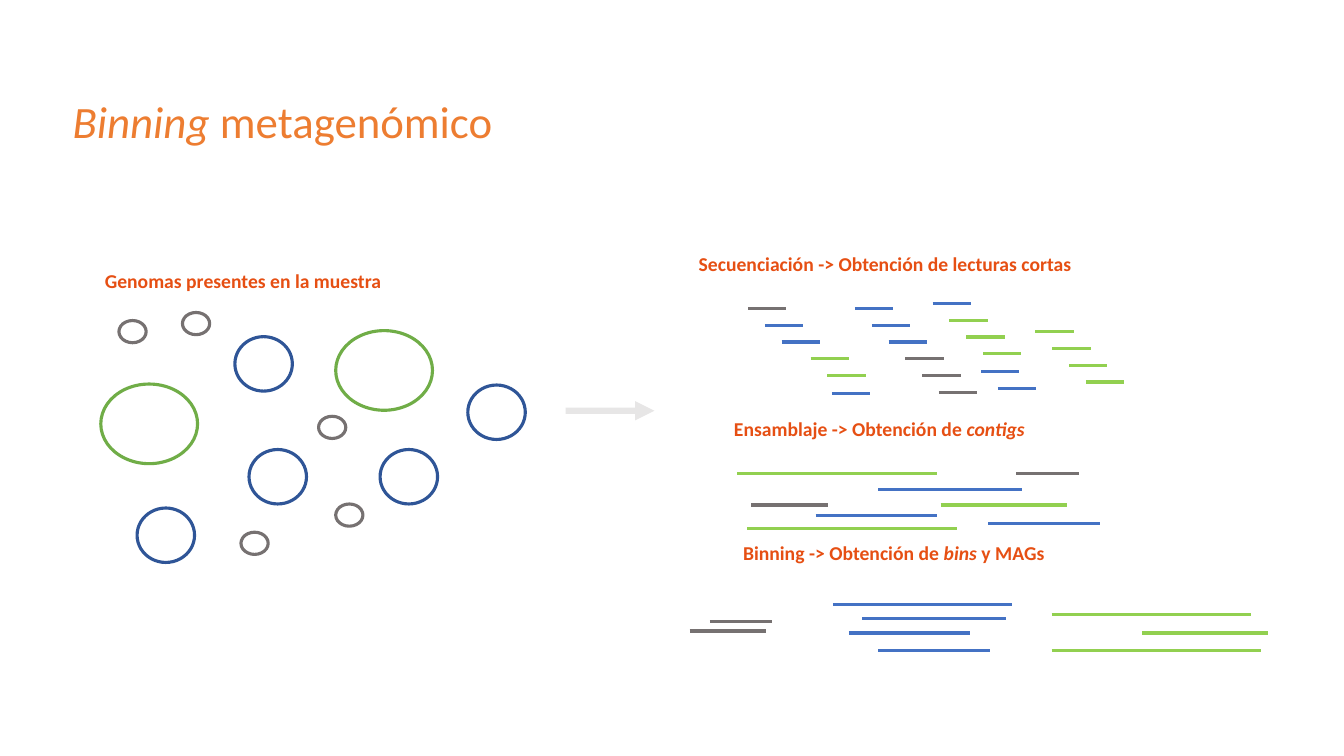
from dataclasses import dataclass

from lxml import etree
from pptx import Presentation
from pptx.dml.color import RGBColor
from pptx.enum import shapes, text
from pptx.oxml import ns
from pptx.util import Inches, Pt


@dataclass(frozen=True)
class Theme:
    font: str = "Calibri"
    title_size: int = 32
    heading_size: int = 14
    line_width: float = 2.25
    title: str = "ED7D31"
    heading: str = "E64F13"
    green_ring: str = "70AD47"
    blue_ring: str = "2F5597"
    green: str = "92D050"
    blue: str = "4472C4"
    grey: str = "767171"
    arrow: str = "E7E6E6"


THEME = Theme()

# Colour, width, height, and the left and top of each genome
GENOMES = [
    (THEME.green_ring, 0.96, 0.79, [(1, 3.81), (3.33, 3.28)]),
    (THEME.blue_ring, 0.57, 0.54,
     [(1.36, 5.04), (3.77, 4.46), (2.33, 3.34), (2.47, 4.46), (4.64, 3.82)]),
    (THEME.grey, 0.27, 0.22,
     [(1.18, 3.18), (1.81, 3.1), (2.39, 5.28), (3.33, 5), (3.16, 4.13)]),
]

# Start of each diagonal staircase of reads and the colours down it
READ_LENGTH = 0.38
READ_STEP = 1 / 6
READ_STAIRS = [
    (7.42, 3.06, [THEME.grey] + [THEME.blue] * 2),
    (8.04, 3.56, [THEME.green] * 2),
    (8.25, 3.9, [THEME.blue]),
    (8.48, 3.06, [THEME.blue] * 3 + [THEME.grey] * 3),
    (9.25, 3.01, [THEME.blue] + [THEME.green] * 3),
    (9.73, 3.69, [THEME.blue] * 2),
    (10.27, 3.29, [THEME.green] * 4),
]

# Colour, length, then the starts after assembly and after binning
CONTIGS = [
    (THEME.green, 1.98, [(7.31, 4.7), (10.43, 6.1)]),
    (THEME.green, 1.25, [(9.33, 5.01), (11.33, 6.28)]),
    (THEME.green, 2.08, [(7.41, 5.24), (10.43, 6.45)]),
    (THEME.grey, 0.62, [(10.08, 4.7), (7.04, 6.17)]),
    (THEME.grey, 0.76, [(7.45, 5.01), (6.84, 6.26)]),
    (THEME.blue, 1.43, [(8.71, 4.86), (8.55, 6.14)]),
    (THEME.blue, 1.2, [(8.09, 5.11), (8.42, 6.28)]),
    (THEME.blue, 1.11, [(9.8, 5.19), (8.71, 6.45)]),
    (THEME.blue, 1.78, [(8.26, 6)]),
]

# Left, top, width, and pieces of text with their italic flag
HEADINGS = [
    (1.03, 2.66, 2.76, [("Genomas presentes en la muestra", False)]),
    (6.92, 2.49, 3.72,
     [("Secuenciación -> Obtención de lecturas cortas", False)]),
    (7.27, 4.13, 2.9,
     [("Ensamblaje -> Obtención de ", False), ("contigs", True)]),
    (7.36, 5.36, 3.01,
     [("Binning -> Obtención de ", False), ("bins ", True), ("y MAGs", False)]),
]


def add_genome(slide, left, top, width, height, color):
    ring = slide.shapes.add_shape(
        shapes.MSO_SHAPE.OVAL,
        Inches(left), Inches(top), Inches(width), Inches(height))
    ring.shadow.inherit = False
    ring.fill.background()
    ring.line.color.rgb = RGBColor.from_string(color)
    ring.line.width = Pt(THEME.line_width)


def add_sequence(slide, left, top, length, color):
    """Draw a read or a contig as a horizontal line."""
    line = slide.shapes.add_connector(
        shapes.MSO_CONNECTOR.STRAIGHT,
        Inches(left), Inches(top), Inches(left + length), Inches(top))
    line.line.color.rgb = RGBColor.from_string(color)
    line.line.width = Pt(THEME.line_width)
    etree.SubElement(line._element.spPr, ns.qn("a:effectLst"))


def add_text(slide, left, top, width, height, pieces, size, color, bold):
    box = slide.shapes.add_textbox(
        Inches(left), Inches(top), Inches(width), Inches(height))
    frame = box.text_frame
    frame.word_wrap = True
    frame.auto_size = text.MSO_AUTO_SIZE.NONE
    frame.margin_left = frame.margin_top = Inches(0.01)
    frame.margin_right = frame.margin_bottom = 0
    paragraph = frame.paragraphs[0]
    paragraph.space_before = Pt(1)
    for words, italic in pieces:
        run = paragraph.add_run()
        run.text = words
        run.font.name = THEME.font
        run.font.size = Pt(size)
        run.font.bold = bold
        run.font.italic = italic
        run.font.color.rgb = RGBColor.from_string(color)


def add_arrow(slide, left, top, width, height):
    arrow = slide.shapes.add_shape(
        shapes.MSO_SHAPE.RIGHT_ARROW,
        Inches(left), Inches(top), Inches(width), Inches(height))
    arrow.shadow.inherit = False
    arrow.adjustments[0] = 0.33
    arrow.adjustments[1] = 1
    arrow.fill.solid()
    arrow.fill.fore_color.rgb = RGBColor.from_string(THEME.arrow)
    arrow.line.fill.background()


def main():
    presentation = Presentation()
    presentation.slide_width = Inches(13.33)
    presentation.slide_height = Inches(7.5)
    slide = presentation.slides.add_slide(presentation.slide_layouts[6])

    for color, width, height, places in GENOMES:
        for left, top in places:
            add_genome(slide, left, top, width, height, color)

    for left, top, colors in READ_STAIRS:
        for index, color in enumerate(colors):
            offset = index * READ_STEP
            add_sequence(slide, left + offset, top + offset, READ_LENGTH, color)

    for color, length, places in CONTIGS:
        for left, top in places:
            add_sequence(slide, left, top, length, color)

    for left, top, width, pieces in HEADINGS:
        add_text(slide, left, top, width, 0.26, pieces,
                 THEME.heading_size, THEME.heading, True)
    add_text(slide, 0.71, 0.92, 4.2, 0.56,
             [("Binning ", True), ("metagenómico", False)],
             THEME.title_size, THEME.title, False)
    add_arrow(slide, 5.61, 3.98, 0.88, 0.19)

    presentation.save("out.pptx")


if __name__ == "__main__":
    main()
